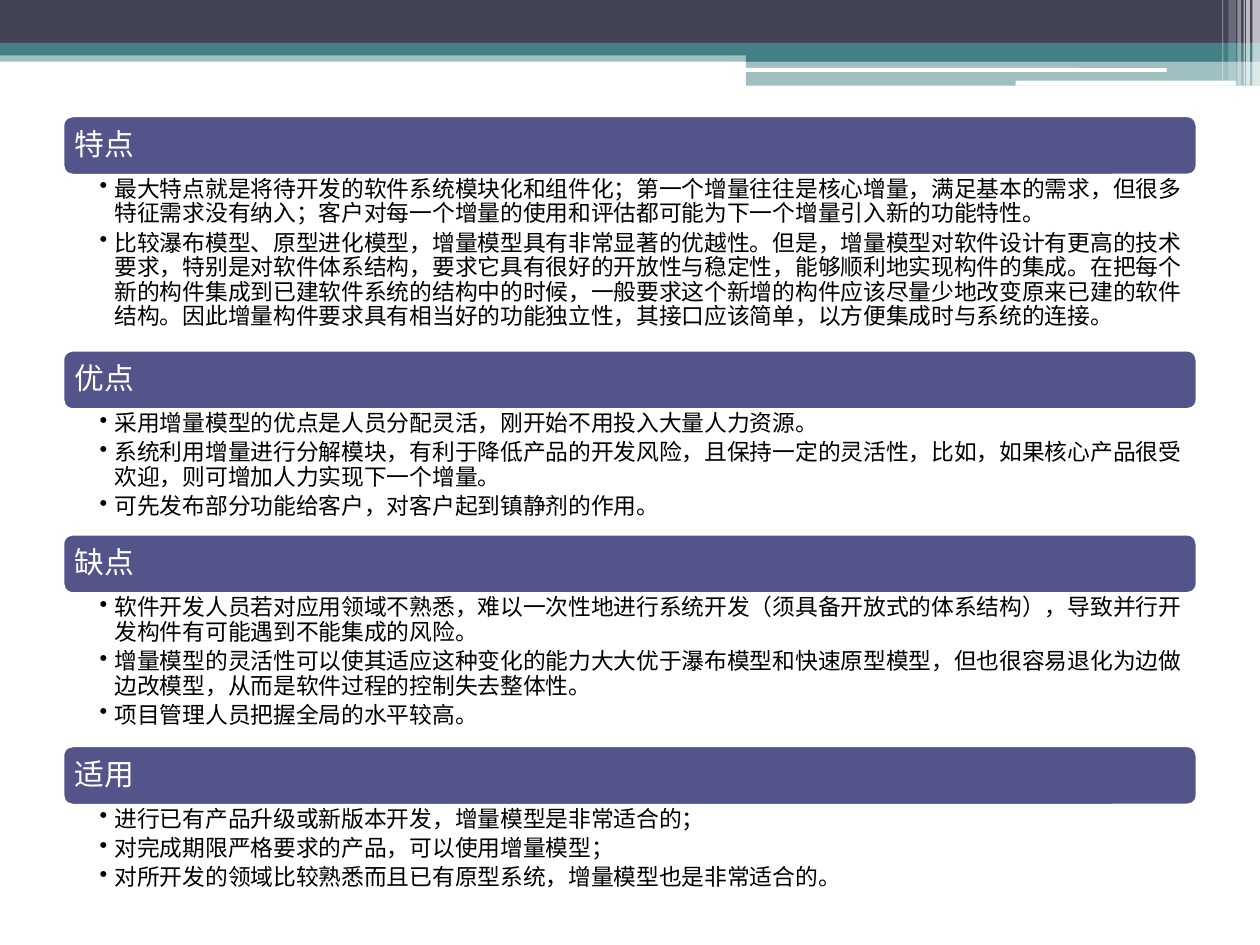
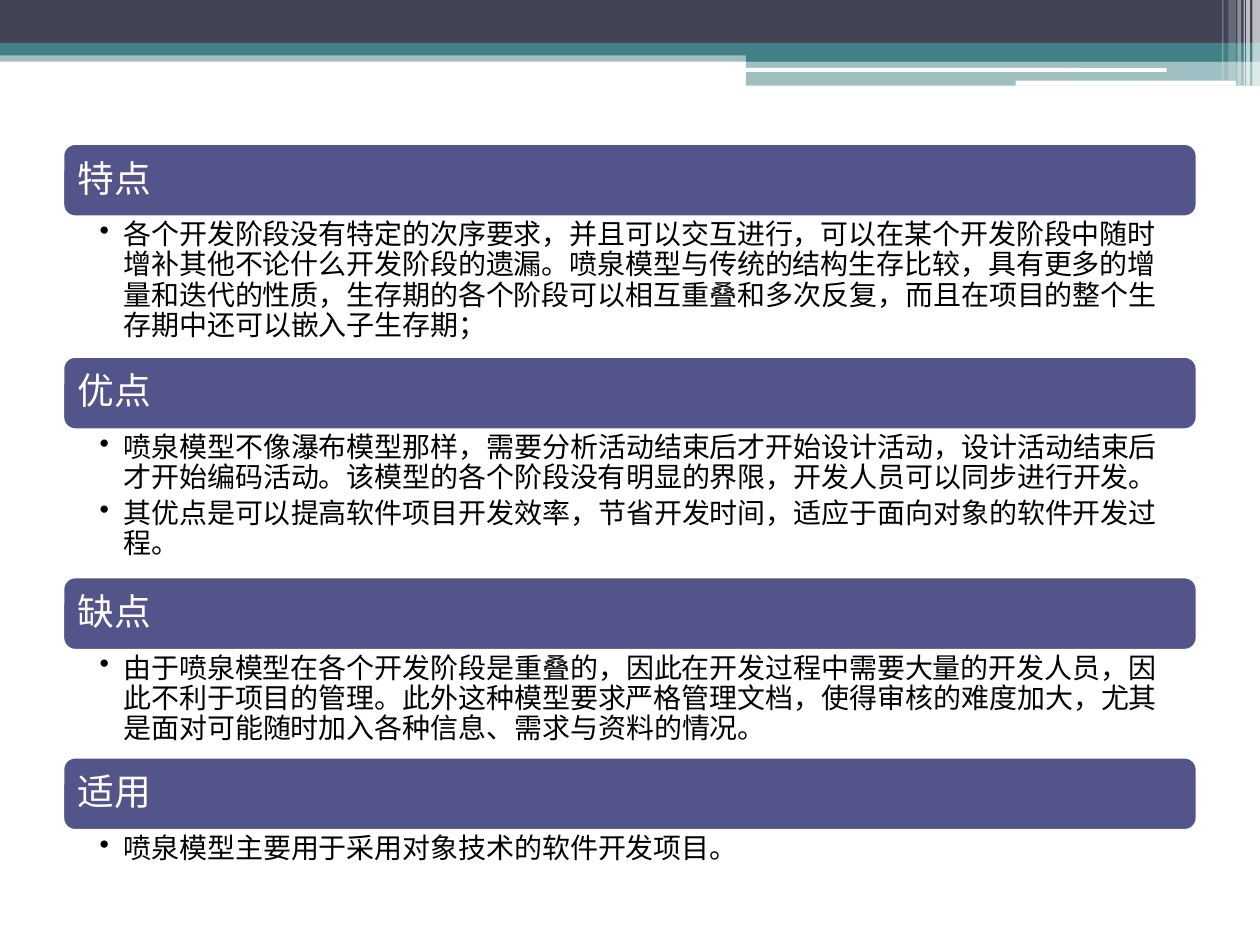
import pptx
import pptx.util
import pptx.dml.color
import pptx.enum.shapes
import pptx.enum.text
import pptx.oxml.ns
from lxml import etree

Inches, Pt = pptx.util.Inches, pptx.util.Pt
SHAPE = pptx.enum.shapes.MSO_SHAPE
qn = pptx.oxml.ns.qn

FONT = "TeX Gyre Schola"
COLORS = {"navy": "424456", "teal": "438086", "band": "53548A",
          "white": "FFFFFF", "black": "000000"}
LEFT, WIDTH = 0.5, 9

# shape, left, top, width, height, colour, opacity in percent
HEADER = [
    ("rect", 0, 0.4, 10, 0.09, "teal", 50),
    ("rect", 0, 0, 10, 0.34, "navy", 100),
    ("rect", 0, 0.34, 10, 0.1, "teal", 100),
    ("rect", 5.92, 0.39, 4.08, 0.1, "teal", 100),
    ("rect", 5.92, 0.48, 4.08, 0.2, "teal", 50),
    ("round", 5.91, 0.54, 3.35, 0.03, "white", 100),
    ("round", 8.06, 0.64, 1.75, 0.04, "white", 100),
    ("rect", 9.94, 0, 0.06, 0.68, "white", 65),
    ("rect", 9.89, 0, 0.03, 0.68, "white", 65),
    ("rect", 9.87, 0, 0.01, 0.68, "white", 60),
    ("rect", 9.82, 0, 0.03, 0.68, "white", 40),
    ("rect", 9.75, 0, 0.06, 0.64, "white", 20),
    ("rect", 9.7, 0, 0.01, 0.64, "white", 30),
]

# Each section: heading, height of its bullet area, bullets
SLIDES = [
    {
        "top": 0.92, "band": 0.47, "heading_size": 17, "size": 13, "indent": 0.12,
        "heading_inset": 0.07, "insets": (0.29, 0.02, 0.13, 0.02),
        "sections": [
            ("特点", 1.39, [
                "最大特点就是将待开发的软件系统模块化和组件化；第一个增量往往是核心增量，满足基本的需求，但很多特征需求没有纳入；客户对每一个增量的使用和评估都可能为下一个增量引入新的功能特性。",
                "比较瀑布模型、原型进化模型，增量模型具有非常显著的优越性。但是，增量模型对软件设计有更高的技术要求，特别是对软件体系结构，要求它具有很好的开放性与稳定性，能够顺利地实现构件的集成。在把每个新的构件集成到已建软件系统的结构中的时候，一般要求这个新增的构件应该尽量少地改变原来已建的软件结构。因此增量构件要求具有相当好的功能独立性，其接口应该简单，以方便集成时与系统的连接。",
            ]),
            ("优点", 0.99, [
                "采用增量模型的优点是人员分配灵活，刚开始不用投入大量人力资源。",
                "系统利用增量进行分解模块，有利于降低产品的开发风险，且保持一定的灵活性，比如，如果核心产品很受欢迎，则可增加人力实现下一个增量。",
                "可先发布部分功能给客户，对客户起到镇静剂的作用。",
            ]),
            ("缺点", 1.21, [
                "软件开发人员若对应用领域不熟悉，难以一次性地进行系统开发（须具备开放式的体系结构），导致并行开发构件有可能遇到不能集成的风险。",
                "增量模型的灵活性可以使其适应这种变化的能力大大优于瀑布模型和快速原型模型，但也很容易退化为边做边改模型，从而是软件过程的控制失去整体性。",
                "项目管理人员把握全局的水平较高。",
            ]),
            ("适用", 0.79, [
                "进行已有产品升级或新版本开发，增量模型是非常适合的；",
                "对完成期限严格要求的产品，可以使用增量模型；",
                "对所开发的领域比较熟悉而且已有原型系统，增量模型也是非常适合的。",
            ]),
        ],
    },
    {
        "top": 1.14, "band": 0.58, "heading_size": 21, "size": 16, "indent": 0.19,
        "heading_inset": 0.09, "insets": (0.29, 0.03, 0.16, 0.03),
        "sections": [
            ("特点", 1.11, [
                "各个开发阶段没有特定的次序要求，并且可以交互进行，可以在某个开发阶段中随时增补其他不论什么开发阶段的遗漏。喷泉模型与传统的结构生存比较，具有更多的增量和迭代的性质，生存期的各个阶段可以相互重叠和多次反复，而且在项目的整个生存期中还可以嵌入子生存期；",
            ]),
            ("优点", 1.17, [
                "喷泉模型不像瀑布模型那样，需要分析活动结束后才开始设计活动，设计活动结束后才开始编码活动。该模型的各个阶段没有明显的界限，开发人员可以同步进行开发。",
                "其优点是可以提高软件项目开发效率，节省开发时间，适应于面向对象的软件开发过程。",
            ]),
            ("缺点", 0.85, [
                "由于喷泉模型在各个开发阶段是重叠的，因此在开发过程中需要大量的开发人员，因此不利于项目的管理。此外这种模型要求严格管理文档，使得审核的难度加大，尤其是面对可能随时加入各种信息、需求与资料的情况。",
            ]),
            ("适用", 0.38, ["喷泉模型主要用于采用对象技术的软件开发项目。"]),
        ],
    },
]


def rgb(name):
    return pptx.dml.color.RGBColor.from_string(COLORS[name])


def add_block(s, kind, left, top, width, height, color, opacity=100):
    shape = SHAPE.ROUNDED_RECTANGLE if kind == "round" else SHAPE.RECTANGLE
    sp = s.shapes.add_shape(shape, Inches(left), Inches(top), Inches(width), Inches(height))
    sp.shadow.inherit = False
    sp.fill.solid()
    sp.fill.fore_color.rgb = rgb(color)
    sp.line.fill.background()
    if opacity < 100:
        srgb = next(sp.fill._xPr.iter(qn("a:srgbClr")))
        etree.SubElement(srgb, qn("a:alpha"), val=str(opacity * 1000))
    return sp


def set_frame(tf, insets, anchor):
    tf.word_wrap = True
    tf.vertical_anchor = anchor
    tf.margin_left, tf.margin_top, tf.margin_right, tf.margin_bottom = map(Inches, insets)


def fill_paragraph(p, text, size, color, after):
    """Write one run; the gap below is a share of the text size."""
    p.alignment = pptx.enum.text.PP_ALIGN.LEFT
    p.line_spacing = 0.9
    p.space_after = Pt(size * after)
    r = p.add_run()
    r.text = text
    r.font.name = FONT
    r.font.size = Pt(size)
    r.font.color.rgb = rgb(color)


def add_bullet(p, indent):
    pPr = p._p.get_or_add_pPr()
    pPr.set("marL", str(Inches(indent)))
    pPr.set("indent", str(-Inches(indent)))
    etree.SubElement(pPr, qn("a:buChar"), char="•")


def add_heading(s, text, top, style):
    sp = add_block(s, "round", LEFT, top, WIDTH, style["band"], "band")
    sp.line.color.rgb = rgb("white")
    sp.line.width = Pt(1.5)
    set_frame(sp.text_frame, [style["heading_inset"]] * 4, pptx.enum.text.MSO_ANCHOR.MIDDLE)
    fill_paragraph(sp.text_frame.paragraphs[0], text, style["heading_size"], "white", 0.35)


def add_bullets(s, bullets, top, height, style):
    tf = s.shapes.add_textbox(Inches(LEFT), Inches(top), Inches(WIDTH), Inches(height)).text_frame
    set_frame(tf, style["insets"], pptx.enum.text.MSO_ANCHOR.TOP)
    for i, text in enumerate(bullets):
        p = tf.add_paragraph() if i else tf.paragraphs[0]
        p.level = 1
        fill_paragraph(p, text, style["size"], "black", 0.2)
        add_bullet(p, style["indent"])


def main():
    prs = pptx.Presentation()
    prs.slide_width, prs.slide_height = Inches(10), Inches(7.5)
    for style in SLIDES:
        s = prs.slides.add_slide(prs.slide_layouts[6])
        for block in HEADER:
            add_block(s, *block)
        top = style["top"]
        for heading, height, bullets in style["sections"]:
            add_heading(s, heading, top, style)
            top += style["band"]
            add_bullets(s, bullets, top, height, style)
            top += height
    prs.save("out.pptx")


if __name__ == "__main__":
    main()
